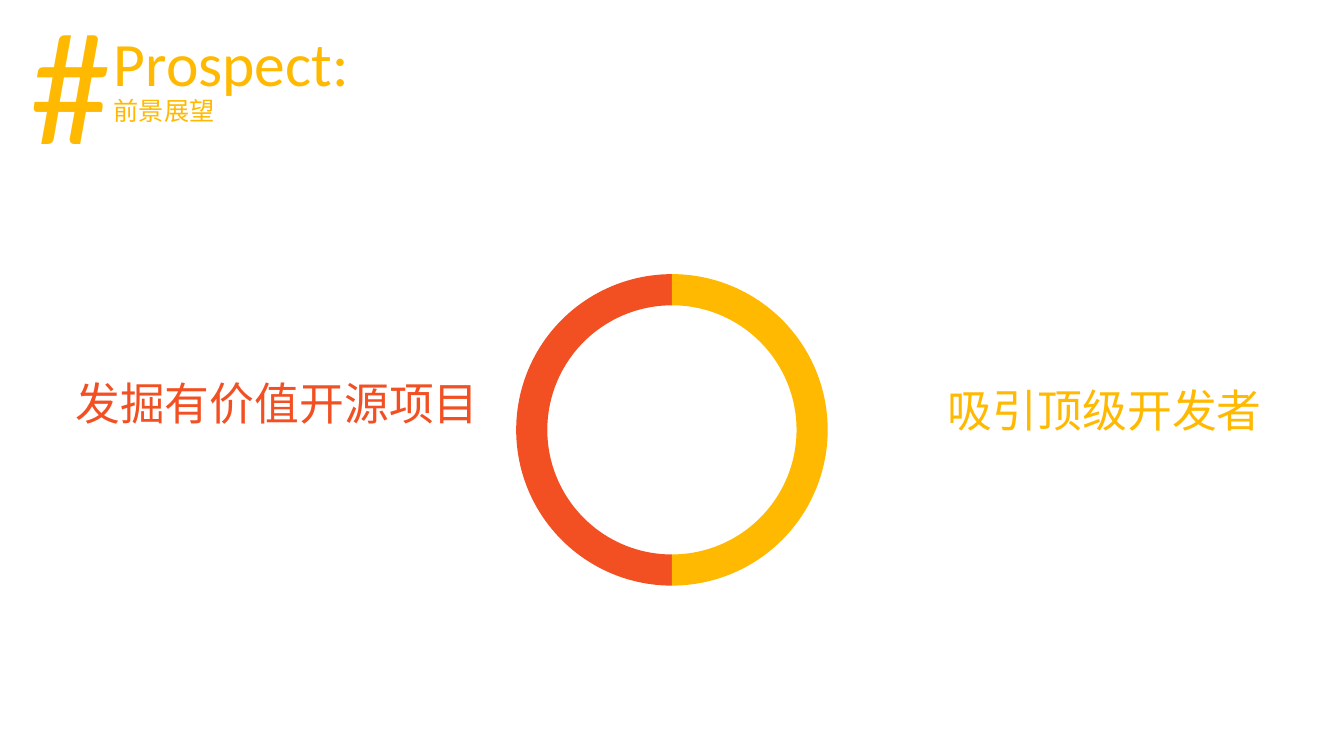
from pptx import Presentation
from pptx.dml.color import RGBColor
from pptx.enum.shapes import MSO_SHAPE as Shape
from pptx.enum.text import MSO_ANCHOR as Anchor, PP_ALIGN as Align
from pptx.util import Pt

GOLD = RGBColor(0xFF, 0xB9, 0x01)
RED = RGBColor(0xF2, 0x50, 0x22)
FONT = "Calibri"


def add_text(slide, box, text, size, color, anchor=Anchor.TOP,
             align=Align.LEFT, spacing=1.0):
    frame = slide.shapes.add_textbox(*map(Pt, box)).text_frame
    frame.word_wrap = True
    frame.vertical_anchor = anchor
    frame.text = text
    para = frame.paragraphs[0]
    para.alignment = align
    para.line_spacing = spacing
    font = para.runs[0].font
    font.name = FONT
    font.size = Pt(size)
    font.color.rgb = color


def add_header(slide, left, top):
    """Place the hash sign with the title and subtitle to its right."""
    indent = left + 59.8
    title = dict(anchor=Anchor.MIDDLE, spacing=0.9)
    add_text(slide, (indent, top, 589, 63.4), "Prospect:", 44, GOLD, **title)
    add_text(slide, (left, top, 59.8, 100.8), "#", 115, GOLD, **title)
    add_text(slide, (indent, top + 49, 205, 29), "前景展望", 18, GOLD)


def add_ring(slide, left, top, size):
    """Draw a ring from a red left half and a gold right half."""
    for color, turn in ((RED, 270), (GOLD, 90)):
        half = slide.shapes.add_shape(
            Shape.BLOCK_ARC, Pt(left), Pt(top), Pt(size), Pt(size))
        half.rotation = turn
        # start angle, end angle, thickness
        for i, value in enumerate((108, 0, 0.1)):
            half.adjustments[i] = value
        half.fill.solid()
        half.fill.fore_color.rgb = color
        half.line.fill.background()
        half.shadow.inherit = False


def add_goals(slide, left, top):
    """Place the two goals on either side of the ring."""
    add_text(slide, (left, top, 304, 46), "发掘有价值开源项目", 32, RED,
             align=Align.CENTER)
    add_text(slide, (left + 588.3, top + 5, 310, 46), "吸引顶级开发者", 32,
             GOLD, align=Align.CENTER)


def main():
    deck = Presentation()
    deck.slide_width, deck.slide_height = Pt(960), Pt(540)
    slide = deck.slides.add_slide(deck.slide_layouts[6])
    add_header(slide, 14.4, 15.8)
    add_goals(slide, 46, 265)
    add_ring(slide, 368.7, 195.8, 222.5)
    deck.save("out.pptx")


if __name__ == "__main__":
    main()
